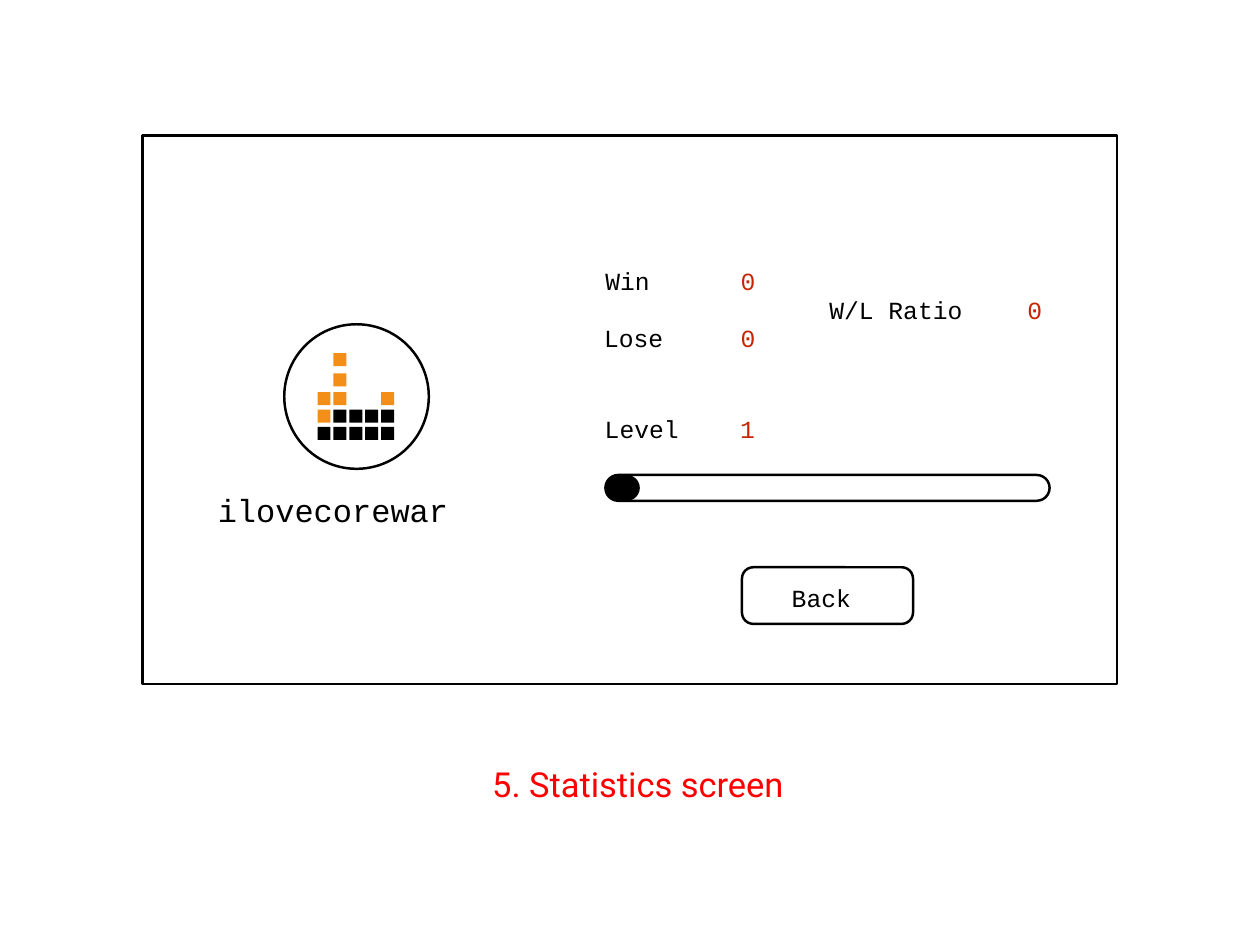
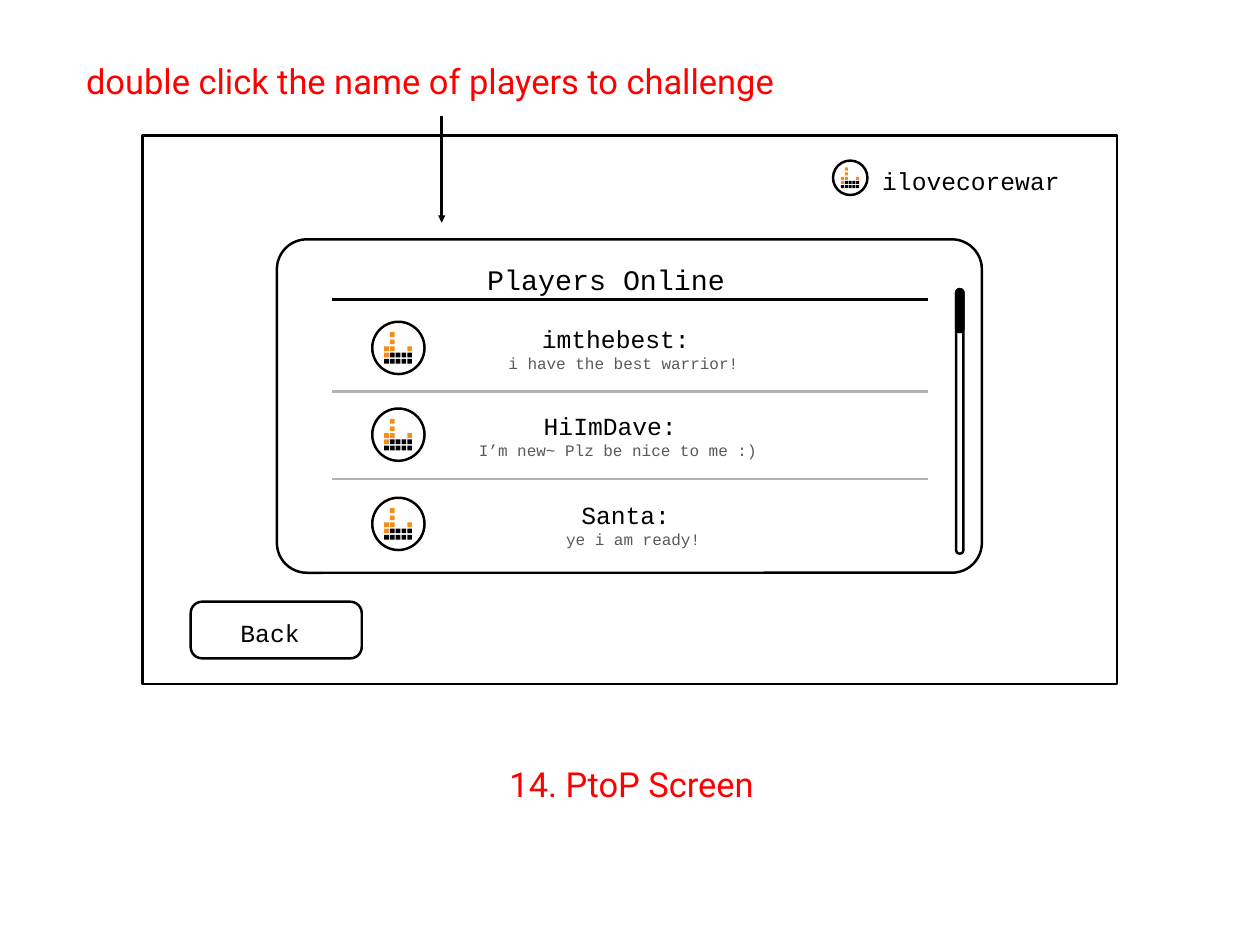
from dataclasses import dataclass

from lxml import etree
from pptx import Presentation
from pptx.dml.color import RGBColor
from pptx.enum.shapes import MSO_CONNECTOR, MSO_SHAPE
from pptx.enum.text import MSO_ANCHOR, MSO_AUTO_SIZE, PP_ALIGN
from pptx.oxml.ns import qn
from pptx.util import Pt

RECTANGLE = MSO_SHAPE.RECTANGLE
ROUNDED = MSO_SHAPE.ROUNDED_RECTANGLE
OVAL = MSO_SHAPE.OVAL
STRAIGHT = MSO_CONNECTOR.STRAIGHT
LEFT = PP_ALIGN.LEFT
CENTER = PP_ALIGN.CENTER
MIDDLE = MSO_ANCHOR.MIDDLE
NO_AUTOFIT = MSO_AUTO_SIZE.NONE


@dataclass(frozen=True)
class Theme:
    black: str = "000000"
    white: str = "FFFFFF"
    grey: str = "B3B3B3"
    message: str = "595959"
    orange: str = "F38F18"
    value: str = "C82506"
    note: str = "FF0000"
    mono: str = "Courier New"
    sans: str = "Roboto"
    caption_size: int = 28
    profile_size: int = 26
    heading_size: int = 23
    body_size: int = 20
    message_size: int = 13
    line_width: int = 2
    inset: int = 4


theme = Theme()


def draw_shape(shapes, kind, box, fill=None, line=None, corner=None):
    shape = shapes.add_shape(kind, *map(Pt, box))
    shape.shadow.inherit = False
    if corner is not None:
        shape.adjustments[0] = corner
    if fill:
        shape.fill.solid()
        shape.fill.fore_color.rgb = RGBColor.from_string(fill)
    else:
        shape.fill.background()
    if line:
        shape.line.color.rgb = RGBColor.from_string(line)
        shape.line.width = Pt(theme.line_width)
    else:
        shape.line.fill.background()
    return shape


def write_text(shape, box, lines, font=theme.mono, align=LEFT):
    shape.left, shape.top, shape.width, shape.height = map(Pt, box)
    frame = shape.text_frame
    frame.text = "\n".join(text for text, size, color in lines)
    frame.word_wrap = True
    frame.auto_size = NO_AUTOFIT
    frame.vertical_anchor = MIDDLE
    frame.margin_left = frame.margin_right = Pt(theme.inset)
    frame.margin_top = frame.margin_bottom = Pt(theme.inset)
    for paragraph, (text, size, color) in zip(frame.paragraphs, lines):
        paragraph.alignment = align
        for run in paragraph.runs:
            run.font.name = font
            run.font.size = Pt(size)
            run.font.color.rgb = RGBColor.from_string(color)


presentation = Presentation()
presentation.slide_width = Pt(1024)
presentation.slide_height = Pt(768)
title_only = presentation.slide_layouts[5]

screens = [
    ("5. Statistics screen", 396, 247, (603, 461)),
    ("14. PtoP Screen", 410, 219, (155, 489)),
]
for caption, caption_left, caption_width, (button_left, button_top) in screens:
    slide = presentation.slides.add_slide(title_only)
    write_text(slide.shapes.title, (caption_left, 616, caption_width, 42),
               [(caption, theme.caption_size, theme.note)], theme.sans)
    draw_shape(slide.shapes, RECTANGLE, (116, 110, 792, 446), line=theme.black)
    button_box = (button_left, button_top, 139, 46)
    button = draw_shape(slide.shapes, ROUNDED, button_box, line=theme.black, corner=0.2)
    write_text(button, button_box, [("Back", theme.body_size, theme.black)], align=CENTER)
    button.text_frame.margin_right = Pt(14)
    button.text_frame.margin_top = Pt(8)

statistics, players = presentation.slides

write_text(statistics.shapes.add_textbox(0, 0, 0, 0), (173, 395, 200, 38),
           [("ilovecorewar", theme.profile_size, theme.black)])

scores = [
    ("Win", 488, "0", 598, 212),
    ("Lose", 487, "0", 598, 258),
    ("W/L Ratio", 670, "0", 831, 235.5),
    ("Level", 487.5, "1", 597.5, 332),
]
for label, label_left, value, value_left, top in scores:
    for text, left, color in ((label, label_left, theme.black), (value, value_left, theme.value)):
        write_text(statistics.shapes.add_textbox(0, 0, 0, 0), (left, top, 12 * len(text) + 12, 32),
                   [(text, theme.body_size, color)])

draw_shape(statistics.shapes, ROUNDED, (492, 386, 361, 21), theme.white, theme.black, 0.5)
draw_shape(statistics.shapes, ROUNDED, (492, 386, 28, 21), theme.black, corner=0.5)

draw_shape(players.shapes, ROUNDED, (225, 194.5, 573, 271), line=theme.black, corner=0.09)
for height, fill in ((215, None), (35, theme.black)):
    draw_shape(players.shapes, ROUNDED, (777, 235, 6, height), fill, theme.black, 0.5)

write_text(players.shapes.add_textbox(0, 0, 0, 0), (66, 45, 585, 42),
           [("double click the name of players to challenge", theme.caption_size, theme.note)],
           theme.sans)
write_text(players.shapes.add_textbox(0, 0, 0, 0), (713, 130.5, 160, 32),
           [("ilovecorewar", theme.body_size, theme.black)])
write_text(players.shapes.add_textbox(0, 0, 0, 0), (392, 209.5, 205, 35),
           [("Players Online", theme.heading_size, theme.black)])

avatars = [(statistics, 231, 263.5, 117.5), (players, 677, 130.5, 28)]
online = [
    ("imthebest: ", "i have the best warrior!", 407.5, 260, 198),
    ("HiImDave: ", "I’m new~ Plz be nice to me :)", 384, 330.5, 236),
    ("Santa: ", "ye i am ready!", 454.5, 403, 120),
]
for name, message, left, top, width in online:
    write_text(players.shapes.add_textbox(0, 0, 0, 0), (left, top, width, 46),
               [(name, theme.body_size, theme.black),
                (message, theme.message_size, theme.message)], align=CENTER)
    avatars.append((players, 302.5, top + 1.5, 42.5))

lines = [
    ((270, 243.5), (754, 243.5), theme.black, False),
    ((270, 318), (754, 318), theme.grey, False),
    ((270, 389.5), (754, 389.5), theme.grey, False),
    ((359, 94), (359, 181), theme.black, True),
]
for start, end, color, has_arrow in lines:
    connector = players.shapes.add_connector(STRAIGHT, *map(Pt, start + end))
    connector.line.color.rgb = RGBColor.from_string(color)
    connector.line.width = Pt(theme.line_width)
    if has_arrow:
        etree.SubElement(connector.line._get_or_add_ln(), qn("a:tailEnd"), type="triangle")
    etree.SubElement(connector._element.spPr, qn("a:effectLst"))

bar_rows = [
    (0.2, ".O..."),
    (0.34, ".O..."),
    (0.47, "OO..O"),
    (0.59, "OBBBB"),
    (0.71, "BBBBB"),
]
cell_colors = {"O": theme.orange, "B": theme.black}
for slide, left, top, diameter in avatars:
    avatar = slide.shapes.add_group_shape()
    draw_shape(avatar.shapes, OVAL, (left, top, diameter, diameter), theme.white, theme.black)
    for row_offset, cells in bar_rows:
        for column, cell in enumerate(cells):
            if cell in cell_colors:
                cell_left = left + diameter * (0.23 + 0.11 * column)
                cell_top = top + diameter * row_offset
                cell_size = diameter * 0.09
                draw_shape(avatar.shapes, RECTANGLE, (cell_left, cell_top, cell_size, cell_size),
                           cell_colors[cell])

presentation.save("out.pptx")
